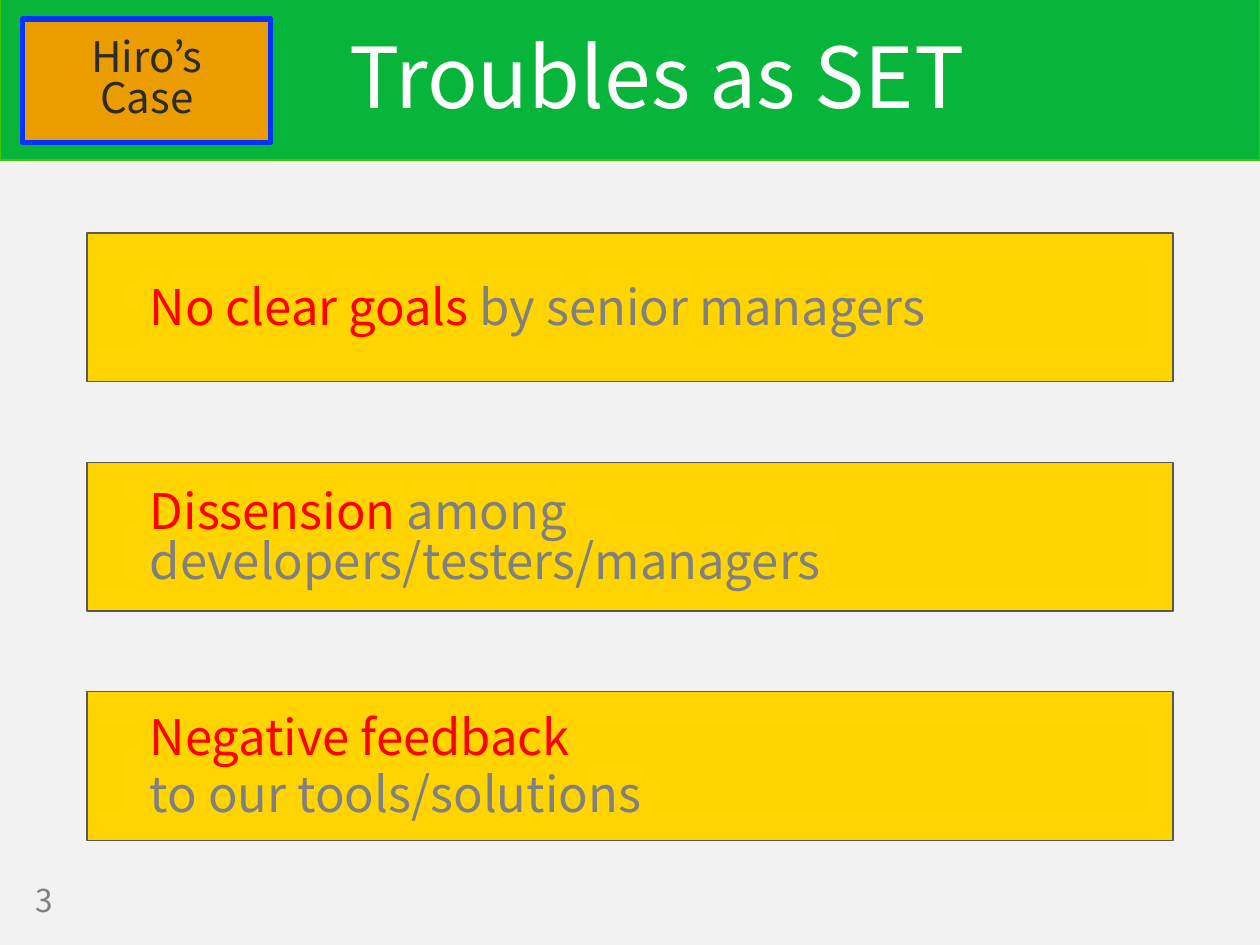
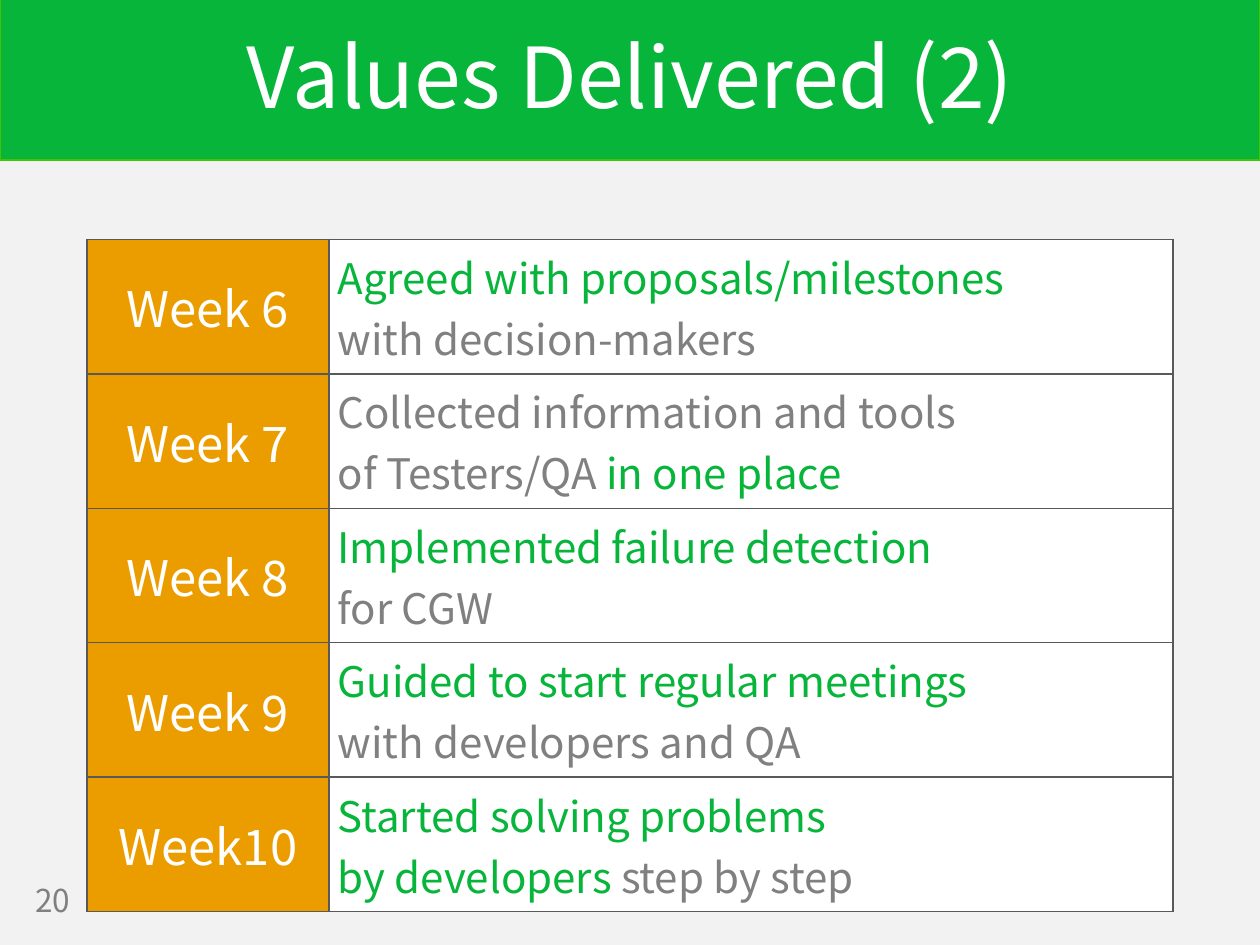
from dataclasses import dataclass

from lxml import etree
from pptx import Presentation
from pptx import util as u
from pptx.dml.color import RGBColor
from pptx.enum import shapes, text
from pptx.oxml import ns


@dataclass(frozen=True)
class Theme:
    font: str = "Noto Sans CJK JP"
    page: str = "F2F2F2"
    green: str = "07B53B"
    lime: str = "44C404"
    gold: str = "FFD400"
    amber: str = "EB9D00"
    blue: str = "0432FF"
    red: str = "FF0000"
    gray: str = "808080"
    edge: str = "595959"
    ink: str = "2C2C2C"
    white: str = "FFFFFF"
    title: int = 48
    large: int = 28
    body: int = 24
    small: int = 18


T = Theme()
COLS, ROWS = 100, 75
LEFT, WIDE = 6.9, 86.2
MID, START = text.PP_ALIGN.CENTER, text.PP_ALIGN.LEFT


def apply(item, form):
    for key, value in form.items():
        setattr(item, key, value)


def paint(fill, tint):
    fill.solid()
    fill.fore_color.rgb = RGBColor.from_string(tint)


class Deck:
    def __init__(self):
        self.prs = Presentation()
        apply(self.prs, {"slide_width": u.Inches(10), "slide_height": u.Inches(7.5)})
        self.layout = self.prs.slide_layouts.get_by_name("Title Only")
        paint(self.prs.slide_master.background.fill, T.page)
        self.slide = None

    def x(self, cols):
        return round(self.prs.slide_width * cols / COLS)

    def y(self, rows):
        return round(self.prs.slide_height * rows / ROWS)

    def area(self, left, top, width, height):
        return self.x(left), self.y(top), self.x(width), self.y(height)

    def page(self, title, number, shift=0):
        first = self.slide is None
        self.slide = self.prs.slides.add_slide(self.layout)
        if first:
            band = self.box((0, -0.1, 100, 12.8), T.green, T.lime, 1)
            self.layout.shapes._spTree.insert(2, band._element)
        head = self.slide.shapes.title
        places = self.area(0, 3.6, 100, 5.7)
        apply(head, dict(zip(("left", "top", "width", "height"), places)))
        apply(head.text_frame, {"margin_left": self.x(1 + shift), "auto_size": text.MSO_AUTO_SIZE.NONE})
        self.label(head.text_frame, [[(title, T.white)]], T.title, MID, 0.9)
        foot = self.slide.shapes.add_textbox(*self.area(1.8, 69.5, 7.9, 3.9))
        self.label(foot.text_frame, [[(number, T.gray)]], T.small)

    def box(self, place, fill, edge, width):
        box = self.slide.shapes.add_shape(shapes.MSO_SHAPE.RECTANGLE, *self.area(*place))
        box.shadow.inherit = False
        paint(box.fill, fill)
        paint(box.line.fill, edge)
        box.line.width = u.Pt(width)
        return box

    def label(self, frame, paras, size, align=START, pitch=None, gap=0):
        apply(frame, {"word_wrap": True, "vertical_anchor": text.MSO_ANCHOR.MIDDLE})
        for i, runs in enumerate(paras):
            para = frame.add_paragraph() if i else frame.paragraphs[0]
            apply(para, {"alignment": align, "space_before": u.Pt(gap if i else 0)})
            if pitch:
                para.line_spacing = pitch
            for words, tint in runs:
                for j, line in enumerate(words.split("\n")):
                    if j:
                        para.add_line_break()
                    if line:
                        run = para.add_run()
                        run.text = line
                        apply(run.font, {"name": T.font, "size": u.Pt(size)})
                        run.font.color.rgb = RGBColor.from_string(tint)

    def badge(self, lines):
        box = self.box((1.8, 1.5, 19.7, 9.8), T.amber, T.blue, 3)
        self.label(box.text_frame, [[(line, T.ink)] for line in lines], T.body, MID, 0.82)

    def cards(self, items, top=18.5, step=18.2):
        for i, paras in enumerate(items):
            box = self.box((LEFT, top + i * step, WIDE, 11.8), T.gold, T.edge, 0.75)
            apply(box.text_frame, {"margin_left": self.x(5), "margin_top": self.y(1)})
            self.label(box.text_frame, paras, T.large, pitch=0.85, gap=3.8)

    def border(self, cell):
        props = cell._tc.get_or_add_tcPr()
        for i, side in enumerate(("lnL", "lnR", "lnT", "lnB")):
            line = etree.Element(ns.qn("a:" + side), w=str(u.Pt(1)))
            fill = etree.SubElement(line, ns.qn("a:solidFill"))
            etree.SubElement(fill, ns.qn("a:srgbClr"), val=T.edge)
            props.insert(i, line)

    def table(self, rows, top=19, first=19.2, high=10.67):
        place = self.area(LEFT, top, WIDE, high * len(rows))
        grid = self.slide.shapes.add_table(len(rows), 2, *place).table
        apply(grid, {"first_row": False, "horz_banding": False})
        for col, wide in zip(grid.columns, (first, WIDE - first)):
            col.width = self.x(wide)
        inset = {"margin_left": self.x(0.7), "margin_right": self.x(0.7),
                 "margin_top": self.y(0.5), "margin_bottom": self.y(0.5),
                 "vertical_anchor": text.MSO_ANCHOR.MIDDLE}
        for i, (week, paras) in enumerate(rows):
            grid.rows[i].height = self.y(high)
            looks = (([[(week, T.white)]], T.large, MID, T.amber),
                     (paras, T.body, START, T.white))
            for j, (words, size, align, fill) in enumerate(looks):
                cell = grid.cell(i, j)
                self.label(cell.text_frame, words, size, align)
                apply(cell, inset)
                paint(cell.fill, fill)
                self.border(cell)


def main():
    deck = Deck()
    deck.page("Troubles as SET", "3", shift=4.3)
    deck.cards([
        [[("No clear goals", T.red), (" by senior managers", T.gray)]],
        [[("Dissension", T.red), (" among\ndevelopers/testers/managers", T.gray)]],
        [[("Negative feedback", T.red)], [("to our tools/solutions", T.gray)]],
    ])
    deck.badge(["Hiro’s", "Case"])

    deck.page("Values Delivered (2)", "20")
    deck.table([
        ("Week 6", [[("Agreed with proposals/milestones\n", T.green),
                     ("with decision-makers", T.gray)]]),
        ("Week 7", [[("Collected information and tools", T.gray)],
                    [("of Testers/QA ", T.gray), ("in one place", T.green)]]),
        ("Week 8", [[("Implemented failure detection", T.green)],
                    [("for CGW", T.gray)]]),
        ("Week 9", [[("Guided to start regular meetings", T.green)],
                    [("with developers and QA", T.gray)]]),
        ("Week10", [[("Started solving problems\nby developers", T.green),
                     (" step by step", T.gray)]]),
    ])
    deck.prs.save("out.pptx")


if __name__ == "__main__":
    main()
